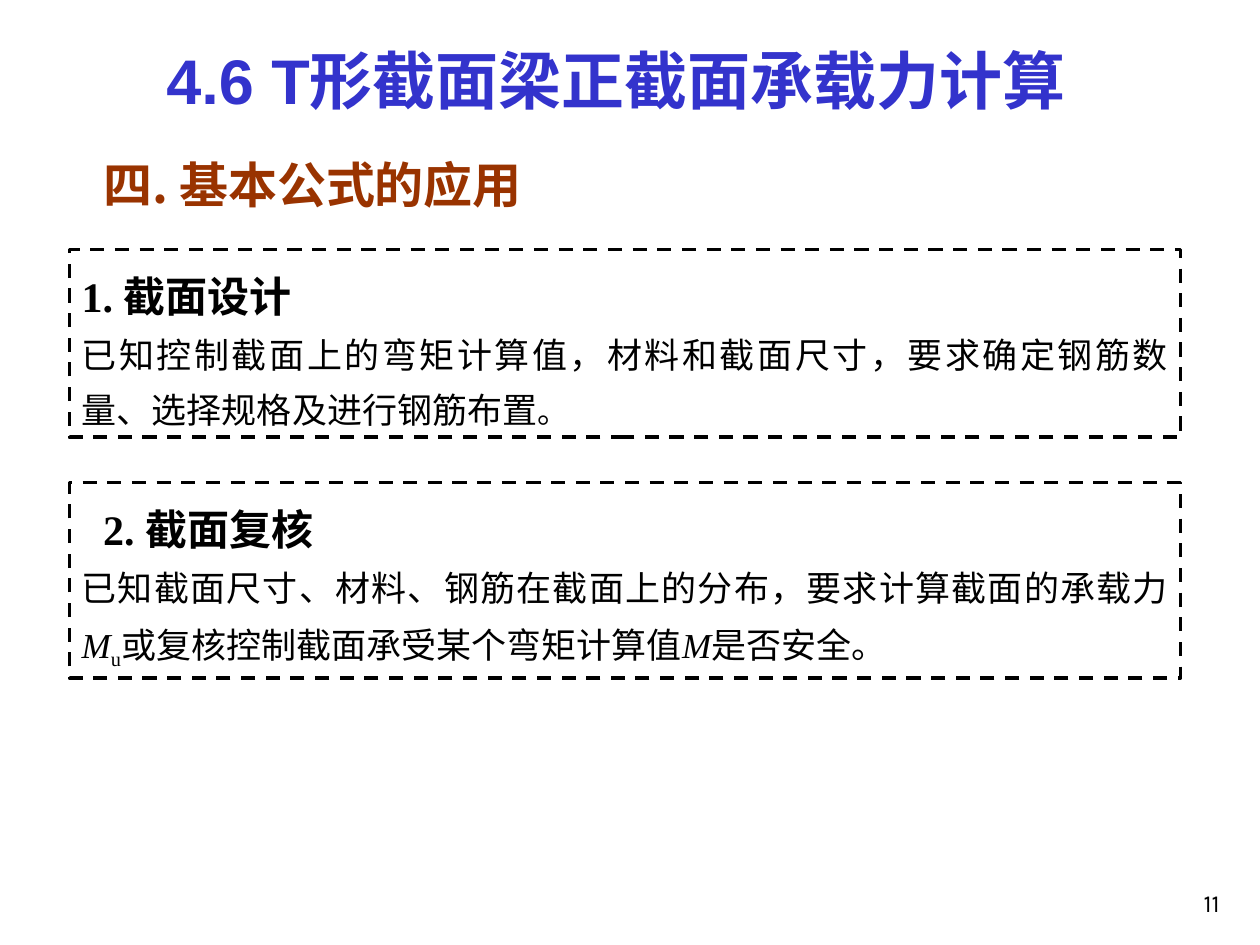
from lxml import etree
from pptx import Presentation
from pptx.dml.color import RGBColor
from pptx.enum.dml import MSO_LINE
from pptx.enum.shapes import MSO_SHAPE
from pptx.enum.text import MSO_ANCHOR, MSO_AUTO_SIZE, PP_ALIGN
from pptx.oxml.ns import qn
from pptx.util import Inches, Pt

RECT, DASH = MSO_SHAPE.RECTANGLE, MSO_LINE.DASH
TOP, BOTTOM = MSO_ANCHOR.TOP, MSO_ANCHOR.BOTTOM
NO_FIT = MSO_AUTO_SIZE.NONE
LEFT, RIGHT, JUSTIFY = PP_ALIGN.LEFT, PP_ALIGN.RIGHT, PP_ALIGN.JUSTIFY

W, H = 10, 7.5
CJK = "Noto Sans CJK SC"
BLACK, WHITE, BLUE, BROWN = "000000", "FFFFFF", "3333CC", "993300"

# Text formats
TITLE = dict(name="Arial", size=Pt(36), bold=True)
SECTION = dict(name=CJK, size=Pt(28), bold=True)
HEADING = dict(name="Times New Roman", size=Pt(24), bold=True)
BODY = dict(name="Arial", size=Pt(20), bold=False)
STOP = dict(BODY, size=Pt(18))
SYMBOL = dict(BODY, name="Times New Roman", italic=True)
SUBSCRIPT = dict(SYMBOL, italic=False)
NUMBER = dict(name="Karla", size=Pt(14), bold=False)


def rgb(value):
    return RGBColor.from_string(value)


def place(sp, box):
    sp.left, sp.top, sp.width, sp.height = (Inches(v) for v in box)


def set_frame(tf, anchor=TOP):
    tf.word_wrap = True
    tf.auto_size = NO_FIT
    tf.vertical_anchor = anchor


def add_run(p, text, fmt, color=BLACK):
    r = p.add_run()
    r.text = text
    r.font.color.rgb = rgb(color)
    for key, value in fmt.items():
        setattr(r.font, key, value)
    rPr = r.font._element
    ea = etree.Element(qn("a:ea"), typeface=CJK)
    rPr.find(qn("a:latin")).addnext(ea)
    if fmt is SUBSCRIPT:
        rPr.set("baseline", "-25000")


def set_paragraph(p, runs, align=LEFT, color=BLACK, indent=0, spacing=1.0):
    pPr = p._p.get_or_add_pPr()
    pPr.set("marL", str(Inches(indent)))
    pPr.set("indent", "0")
    pPr.set("hangingPunct", "0")  # keep punctuation inside the margin
    etree.SubElement(pPr, qn("a:buNone"))
    p.alignment = align
    p.line_spacing = spacing
    p.space_before = Pt(0)
    for text, fmt in runs:
        add_run(p, text, fmt, color)


def add_heading(sp, box, text, fmt, color):
    """Fill a title or body placeholder with one line."""
    place(sp, box)
    set_frame(sp.text_frame)
    set_paragraph(sp.text_frame.paragraphs[0], [(text, fmt)], color=color)


def add_panel(slide, box, heading, runs, indent=0):
    """Dashed box with a heading above a justified paragraph."""
    sp = slide.shapes.add_shape(RECT, *(Inches(v) for v in box))
    sp.shadow.inherit = False
    sp.fill.solid()
    sp.fill.fore_color.rgb = rgb(WHITE)
    sp.line.color.rgb = rgb(BLACK)
    sp.line.width = Pt(2)
    sp.line.dash_style = DASH
    tf = sp.text_frame
    set_frame(tf)
    set_paragraph(tf.paragraphs[0], [(heading, HEADING)], indent=indent, spacing=1.3)
    set_paragraph(tf.add_paragraph(), runs, JUSTIFY, spacing=1.3)


def add_page_number(slide, box, text):
    tf = slide.shapes.add_textbox(*(Inches(v) for v in box)).text_frame
    set_frame(tf, BOTTOM)
    set_paragraph(tf.paragraphs[0], [(text, NUMBER)], RIGHT)


def main():
    prs = Presentation()
    prs.slide_width, prs.slide_height = Inches(W), Inches(H)
    slide = prs.slides.add_slide(prs.slide_layouts[1])

    # Title and section heading
    title, section = slide.placeholders
    add_heading(title, (1.22, 0.28, W - 1.22, 0.7),
                "4.6 T形截面梁正截面承载力计算", TITLE, BLUE)
    add_heading(section, (0.72, 1.18, 6.32, 0.57),
                "四. 基本公式的应用", SECTION, BROWN)

    # The two uses of the formulas
    left, width = 0.55, 8.82
    add_panel(slide, (left, 1.98, width, 1.49), "1. 截面设计", [
        ("已知控制截面上的弯矩计算值，材料和截面尺寸，"
         "要求确定钢筋数量、选择规格及进行钢筋布置", BODY),
        ("。", STOP),
    ])
    add_panel(slide, (left, 3.83, width, 1.55), "2. 截面复核", [
        ("已知截面尺寸、材料、钢筋在截面上的分布，要求计算截面的承载力", BODY),
        ("M", SYMBOL),
        ("u", SUBSCRIPT),
        ("或复核控制截面承受某个弯矩计算值", BODY),
        ("M", SYMBOL),
        ("是否安全。", BODY),
    ], indent=0.17)

    # Page number
    add_page_number(slide, (7.7, 6.83, 2.08, 0.5), "11")
    prs.save("out.pptx")


if __name__ == "__main__":
    main()
